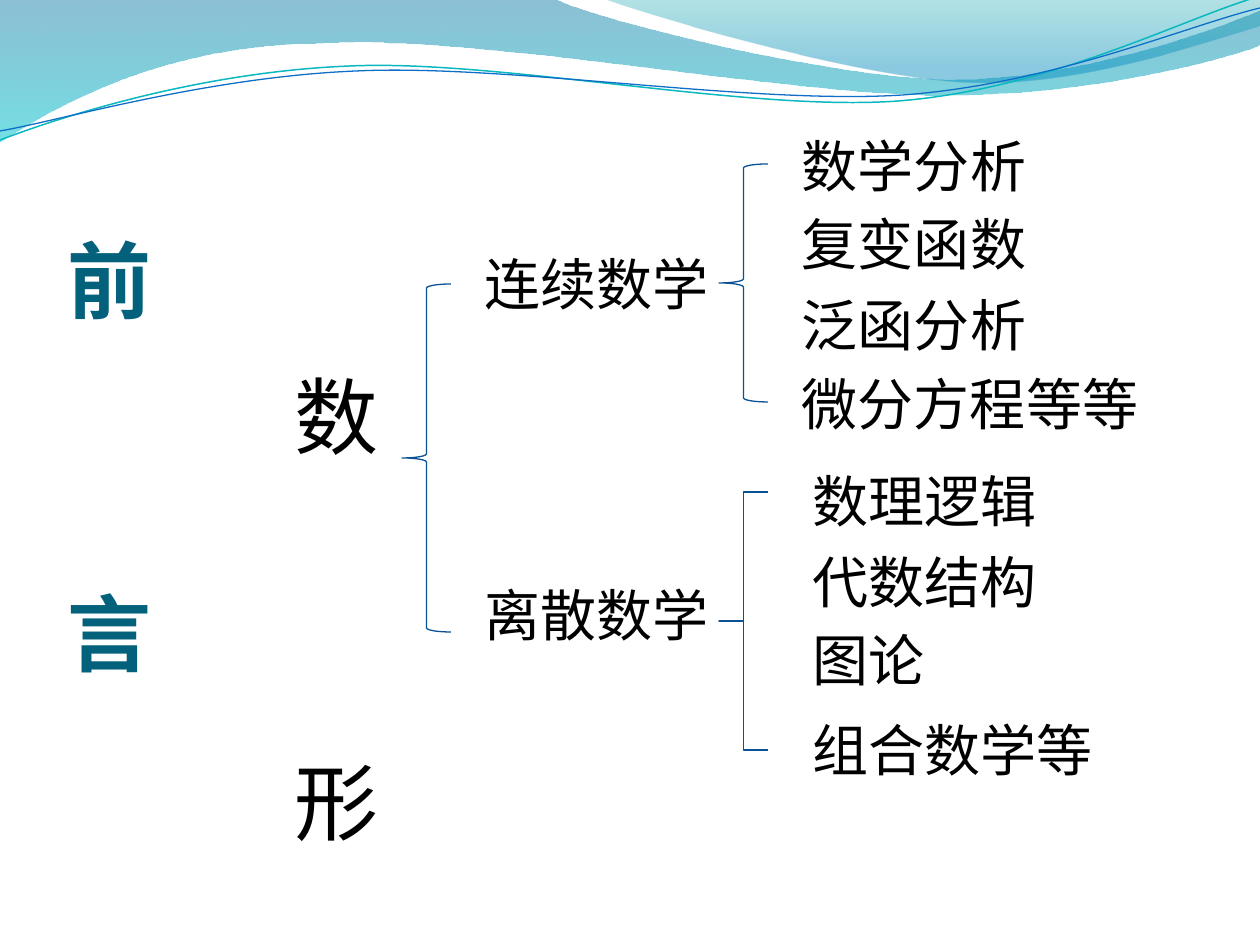
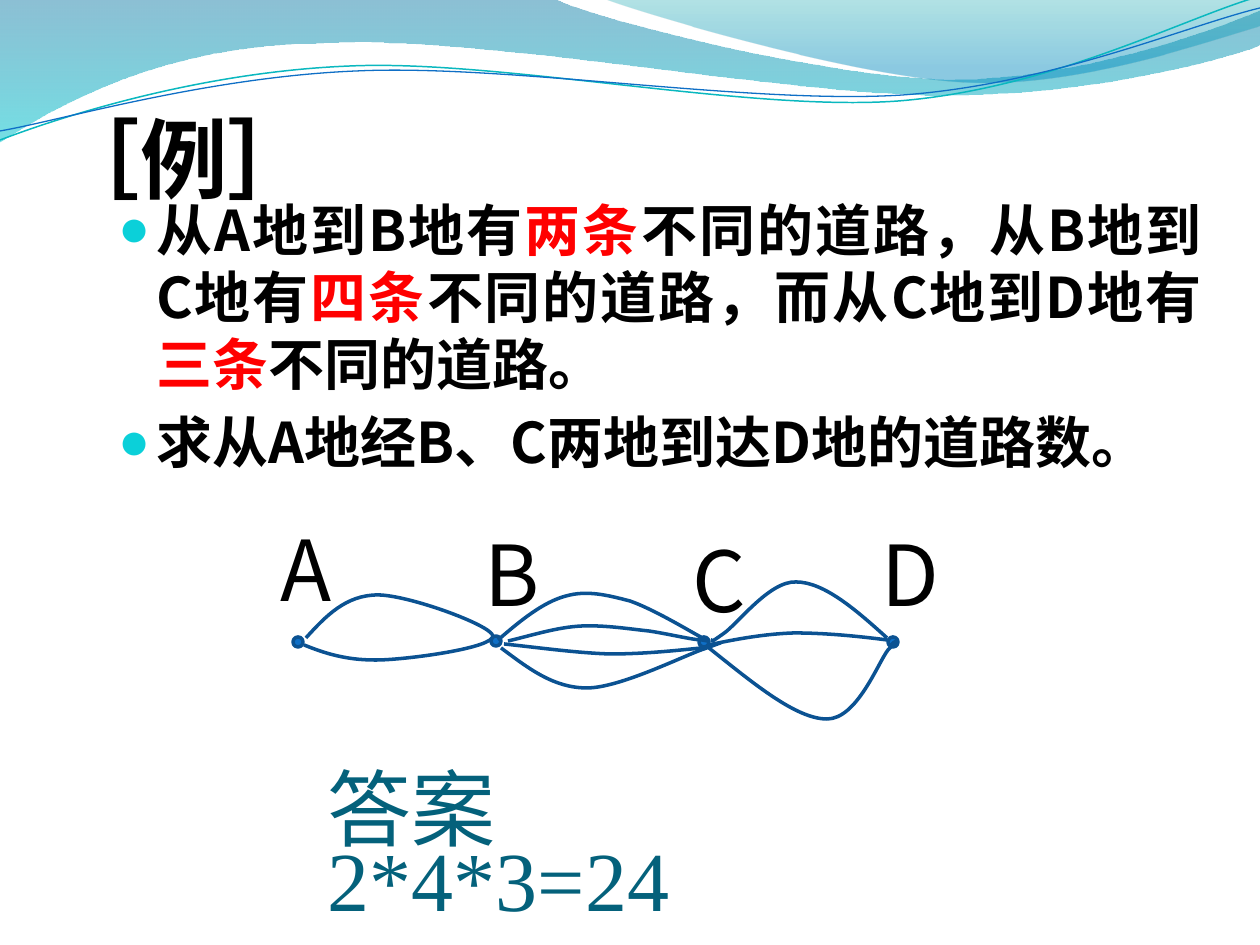
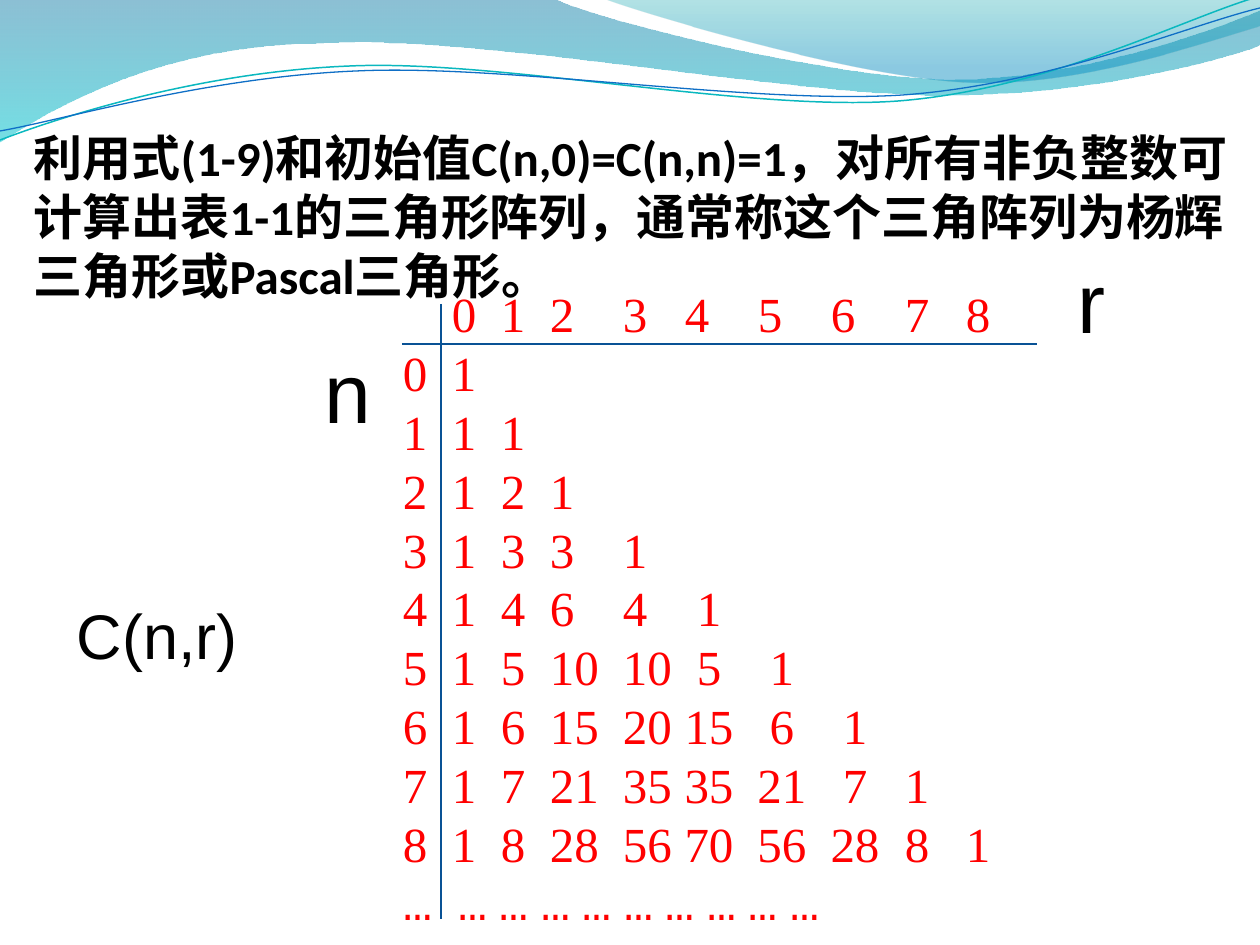
from math import comb
from lxml.etree import SubElement
from pptx import Presentation
from pptx.dml.color import RGBColor
from pptx.enum.shapes import MSO_CONNECTOR, MSO_SHAPE
from pptx.enum.text import MSO_ANCHOR, MSO_AUTO_SIZE, PP_ALIGN
from pptx.oxml.ns import qn
from pptx.util import Pt

PX = 914400 / 126
BLACK, RED, TEAL = "000000", "FF0000", "04617B"
BLUE, ROAD = "095295", "0B5292"
CJK, TIMES, COURIER = "Noto Sans CJK SC", "Times New Roman", "Courier New"
TITLE_INSETS = (0, 6, 0, 0)
rgb = RGBColor.from_string


def write(sp, box, paras, size, font, color=BLACK, bold=False, spacing=1.2,
          align=PP_ALIGN.LEFT, anchor=MSO_ANCHOR.TOP, insets=(13, 6, 13, 6)):
    sp.left, sp.top, sp.width, sp.height = (round(v * PX) for v in box)
    tf = sp.text_frame
    tf.word_wrap, tf.auto_size, tf.vertical_anchor = True, MSO_AUTO_SIZE.NONE, anchor
    tf.margin_left, tf.margin_top, tf.margin_right, tf.margin_bottom = (
        round(v * PX) for v in insets)
    for i, para in enumerate(paras):
        p = tf.add_paragraph() if i else tf.paragraphs[0]
        p.alignment, p.space_before = align, Pt(0)
        p.line_spacing = Pt(round(size * spacing, 1))
        for text, *own in para:
            c, f = own or (color, font)
            r = p.add_run()
            r.text = text
            r.font.size, r.font.bold, r.font.name = Pt(size), bold, f
            r.font.color.rgb = rgb(c)
            SubElement(r.font._element, qn("a:ea"), typeface=f if f == COURIER else CJK)
    return tf


def curve(slide, start, segments, line=None, width=1):
    x, y = start
    outline = []
    for seg in segments:
        if len(seg) == 2:
            outline.append(seg)
        else:
            x1, y1, x2, y2, x3, y3 = seg
            for t in (i / 40 for i in range(1, 41)):
                a, b, c, d = (1 - t) ** 3, 3 * t * (1 - t) ** 2, 3 * t * t * (1 - t), t ** 3
                outline.append((a * x + b * x1 + c * x2 + d * x3,
                                a * y + b * y1 + c * y2 + d * y3))
        x, y = seg[-2:]
    fb = slide.shapes.build_freeform(round(start[0] * PX), round(start[1] * PX), scale=1.0)
    fb.add_line_segments([(px * PX, py * PX) for px, py in outline], close=False)
    sp = fb.convert_to_shape()
    geom = next(sp.element.iter(qn("a:path")))
    for step in list(geom)[1:]:
        geom.remove(step)
    for seg in segments:
        step = SubElement(geom, qn("a:lnTo" if len(seg) == 2 else "a:cubicBezTo"))
        for px, py in zip(seg[::2], seg[1::2]):
            SubElement(step, qn("a:pt"), x=str(round(px * PX) - sp.left),
                       y=str(round(py * PX) - sp.top))
    sp.shadow.inherit = False
    if line:
        sp.fill.background()
        sp.line.color.rgb, sp.line.width = rgb(line), Pt(width)
    else:
        SubElement(geom, qn("a:close"))
        sp.line.fill.background()
    return sp


prs = Presentation()
prs.slide_width, prs.slide_height = round(1260 * PX), round(945 * PX)
title_only, title_body = prs.slide_layouts[5], prs.slide_layouts[1]

s = prs.slides.add_slide(title_only)

waves = []
for start, segments, stops in [
    ((0, -1), [(554, -1), (600, 21, 837, 79, 955, 79), (1075, 79, 1207, 33, 1260, 11),
               (1261, 45), (1239, 55, 1096, 96, 940, 95), (784, 95, 481, 35, 324, 43),
               (163, 44, 58, 105, -1, 142), (0, -1)],
     [(0, "0074A1", 45), (1, "00C6CF", 55)]),
    ((604, -1), [(642, 14, 859, 78, 969, 82), (1079, 87, 1211, 40, 1260, 26), (1260, 0),
                 (604, -1)],
     [(0, "00A1A9", 30), (0.8, "008BBF", 45)]),
]:
    sp = curve(s, start, segments)
    sp.fill.gradient()
    sp.fill.gradient_angle = 270
    for stop, (pos, color, _) in zip(sp.fill.gradient_stops, stops):
        stop.position, stop.color.rgb = pos, rgb(color)
    for clr, (_, _, alpha) in zip(sp.element.spPr.iter(qn("a:srgbClr")), stops):
        SubElement(clr, qn("a:alpha"), val=str(alpha * 1000))
    waves.append(sp)
for start, segments, color, width in [
    ((0, 140), [(60, 117, 199, 72, 349, 66), (498, 59, 747, 112, 898, 101),
                (1050, 89, 1182, 19, 1257, -3)], "0AB8BF", 0.85),
    ((0, 131), [(59, 121, 207, 77, 357, 71), (508, 64, 752, 105, 903, 95),
                (1053, 84, 1186, 26, 1260, 8)], "0F6FC6", 0.75),
]:
    waves.append(curve(s, start, segments, color, width))
for i, sp in enumerate(waves):
    prs.slide_master.shapes.element.insert(2 + i, sp.element)

tf = write(s.shapes.title, (54, 287, 110, 367), [[("前",)], [("言",)]], 48, "Calibri", TEAL,
           bold=True, spacing=0.84, anchor=MSO_ANCHOR.MIDDLE)
tf.paragraphs[1].space_before = Pt(161)

for x, y, h, square in [(402, 284, 348, False), (719, 164, 238, False), (719, 492, 258, True)]:
    sp = s.shapes.add_shape(MSO_SHAPE.LEFT_BRACE, *(round(v * PX) for v in (x, y, 49, h)))
    sp.shadow.inherit = False
    sp.fill.background()
    sp.line.color.rgb, sp.line.width = rgb(BLUE), Pt(0.75)
    if square:
        sp.adjustments[0] = 0

for x, y, w, h, size, text in [
    (281, 359, 59, 115, 48, "数"),
    (281, 745, 59, 115, 48, "形"),
    (471, 243, 258, 81, 32, "连续数学"),
    (471, 575, 258, 81, 32, "离散数学"),
    (789, 125, 258, 81, 32, "数学分析"),
    (789, 204, 258, 81, 32, "复变函数"),
    (789, 284, 258, 81, 32, "泛函分析"),
    (789, 363, 377, 81, 32, "微分方程等等"),
    (799, 461, 258, 81, 32, "数理逻辑"),
    (799, 541, 258, 81, 32, "代数结构"),
    (799, 620, 258, 81, 32, "图论"),
    (799, 709, 358, 81, 32, "组合数学等"),
]:
    write(s.shapes.add_textbox(0, 0, 0, 0), (x, y, w, h), [[(text,)]], size, CJK)

s = prs.slides.add_slide(title_body)
write(s.shapes.title, (53, 53, 840, 157), [[("［例］",)]], 50, TIMES, bold=True,
      anchor=MSO_ANCHOR.BOTTOM, insets=TITLE_INSETS)
tf = write(s.placeholders[1], (105, 189, 1110, 333), [
    [("从A地到B地有",), ("两条", RED, CJK), ("不同的道路，从B地到C地有",),
     ("四条", RED, CJK), ("不同的道路，而从C地到D地",), ("有", BLACK, TIMES),
     ("三条", RED, TIMES), ("不同的道路。", BLACK, TIMES)],
    [("求从", BLACK, TIMES), ("A",), ("地经", BLACK, TIMES), ("B",), ("、", BLACK, TIMES),
     ("C",), ("两地到达", BLACK, TIMES), ("D",), ("地的道路数。", BLACK, TIMES)],
], 32, CJK, bold=True, align=PP_ALIGN.JUSTIFY)
tf.paragraphs[1].space_before = Pt(6)
for p in tf.paragraphs:
    pPr = p._p.get_or_add_pPr()
    pPr.set("marL", str(round(38 * PX)))
    pPr.set("indent", str(round(-38 * PX)))
    SubElement(SubElement(pPr, qn("a:buClr")), qn("a:srgbClr"), val="0BD0D9")
    SubElement(pPr, qn("a:buSzPct"), val="95000")
    SubElement(pPr, qn("a:buFont"), typeface="Arial")
    SubElement(pPr, qn("a:buChar"), char="●")

write(s.shapes.add_textbox(0, 0, 0, 0), (315, 781, 572, 92), [[("答案",)], [("2*4*3=24",)]],
      48, TIMES, TEAL, spacing=0.84)

for town, x, y, dot_x, dot_y in [("A", 268, 512, 293, 637), ("B", 472, 517, 491, 636),
                                 ("C", 680, 523, 699, 637), ("D", 869, 517, 888, 637)]:
    write(s.shapes.add_textbox(0, 0, 0, 0), (x, y, 49, 115), [[(town,)]], 48, CJK)
    sp = s.shapes.add_shape(MSO_SHAPE.OVAL, *(round(v * PX) for v in (dot_x, dot_y, 10, 10)))
    sp.shadow.inherit = False
    sp.fill.solid()
    sp.fill.fore_color.rgb = rgb("0F6FC6")
    sp.line.color.rgb, sp.line.width = rgb(ROAD), Pt(2)

for start, segments in [
    ((306, 638), [(326, 616, 346, 595, 378, 595), (408, 595, 491, 625, 493, 636),
                  (493, 648, 412, 659, 381, 660), (349, 661, 326, 654, 304, 645)]),
    ((498, 640), [(520, 621, 543, 602, 566, 596), (587, 590, 607, 595, 630, 601),
                  (653, 609, 688, 630, 699, 636), (712, 643, 709, 641, 702, 640),
                  (693, 640, 669, 634, 649, 631), (630, 629, 605, 625, 582, 626),
                  (558, 627, 533, 635, 508, 641)]),
    ((504, 644), [(541, 648, 577, 653, 610, 654), (643, 654, 672, 651, 702, 648)]),
    ((501, 648), [(528, 668, 553, 688, 587, 688), (621, 688, 687, 654, 707, 648),
                  (728, 640, 721, 643, 712, 646)]),
    ((713, 639), [(712, 641, 709, 644, 723, 634), (737, 625, 769, 581, 796, 582),
                  (824, 582, 856, 610, 887, 638)]),
    ((709, 645), [(737, 639, 765, 634, 794, 633), (824, 633, 856, 636, 887, 640)]),
    ((709, 648), [(753, 683, 796, 719, 827, 719), (857, 719, 878, 663, 888, 650),
                  (900, 638, 895, 641, 891, 645)]),
]:
    curve(s, start, segments, ROAD, 2)

s = prs.slides.add_slide(title_only)
write(s.shapes.title, (34, 115, 1229, 189),
      [[("利用式(1-9)和初始值C(n,0)=C(n,n)=1，对所有非负整数可计算出表1-1的三角形阵列，"
         "通常称这个三角阵列为杨辉三角形或Pascal三角形。",)]],
      28, "Calibri", bold=True, anchor=MSO_ANCHOR.BOTTOM, insets=TITLE_INSETS)

rows = [["", *range(9)]]
rows += [[n, *(comb(n, k) for k in range(n + 1))] for n in range(9)]
paras = [[("\t".join(map(str, row)),)] for row in rows]
paras.append([("\t".join("…" * 10), RED, COURIER)])
tf = write(s.shapes.add_textbox(0, 0, 0, 0), (372, 278, 683, 726), paras, 28, TIMES, RED,
           align=PP_ALIGN.JUSTIFY, insets=(31, 6, 13, 6))

left_tabs = [(x, "l") for x in (49, 98, 147, 220, 282, 355, 428, 502, 563)]
row_tabs = [(x + 24, "ctr") if 4 <= i <= 6 else (x, a) for i, (x, a) in enumerate(left_tabs)]
dot_tabs = [(55 + i * 83 // 2, "l") for i in range(9)]
for p, tabs in zip(tf.paragraphs, [left_tabs] + [row_tabs] * 9 + [dot_tabs]):
    tab_list = SubElement(p._p.get_or_add_pPr(), qn("a:tabLst"))
    for x, a in tabs:
        SubElement(tab_list, qn("a:tab"), pos=str(round(x * PX)), algn=a)

for ends in [(441, 304, 441, 919), (402, 344, 1037, 344)]:
    sp = s.shapes.add_connector(MSO_CONNECTOR.STRAIGHT, *(round(v * PX) for v in ends))
    sp.line.color.rgb, sp.line.width = rgb(BLUE), Pt(0.75)
    SubElement(sp.element.spPr, qn("a:effectLst"))

for text, box, size in [("C(n,r)", (64, 591, 238, 89), 36), ("n", (312, 334, 633, 115), 48),
                        ("r", (1065, 244, 101, 115), 48)]:
    write(s.shapes.add_textbox(0, 0, 0, 0), box, [[(text,)]], size, "Arial")

prs.save("out.pptx")
